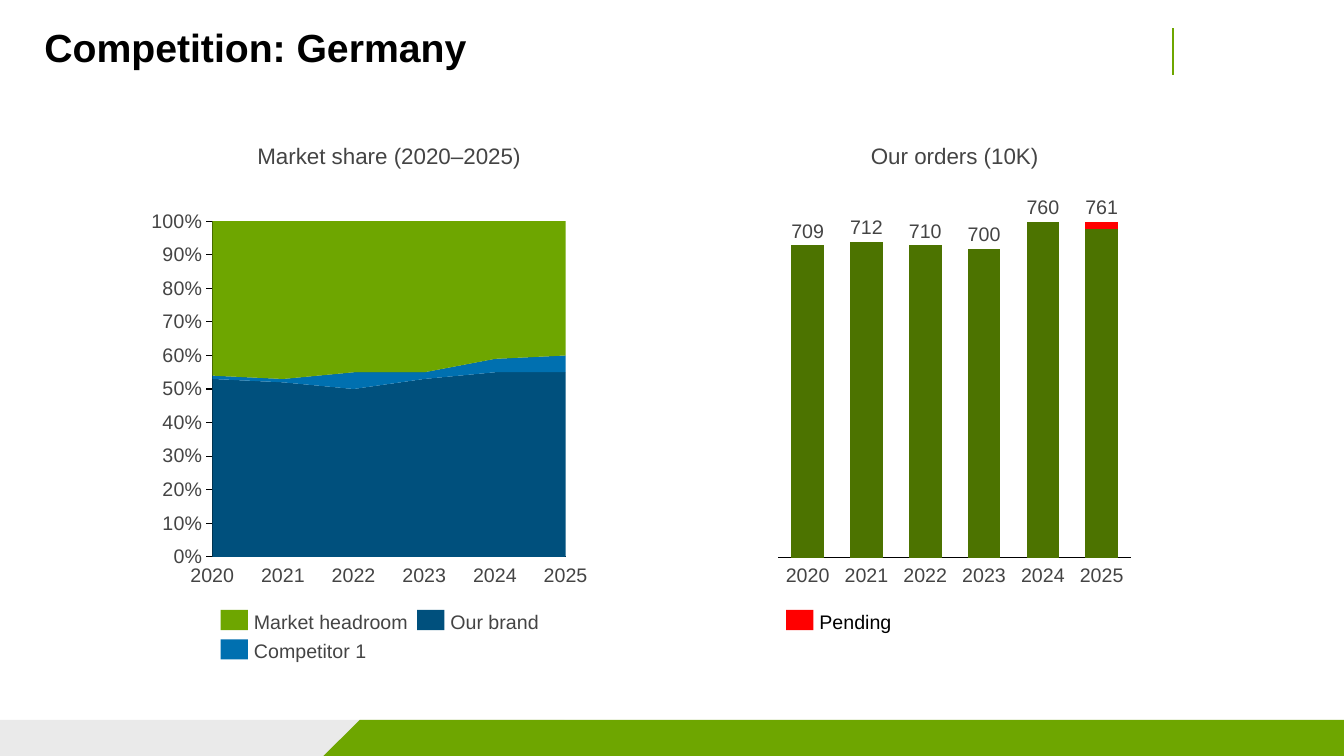
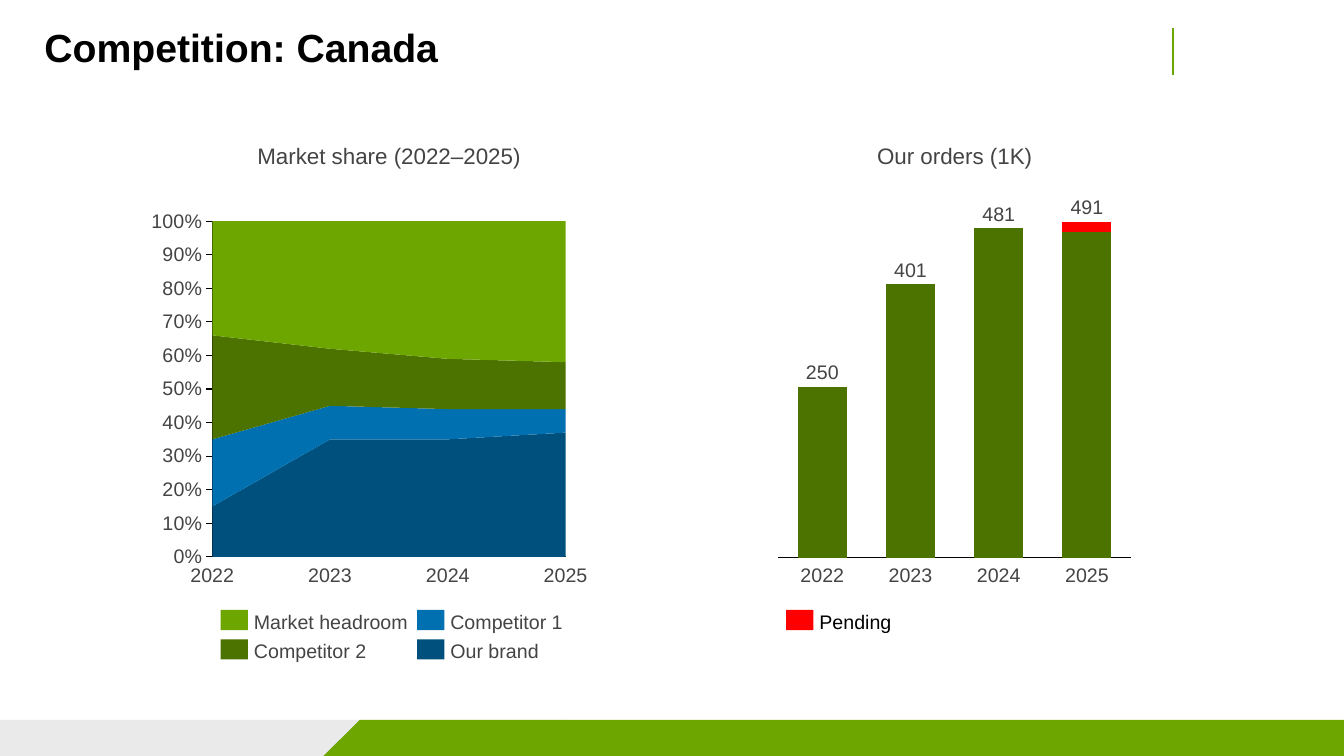
import pptx
import pptx.chart.data
import pptx.dml.color
import pptx.enum.chart
import pptx.enum.shapes
import pptx.enum.text
import pptx.oxml
import pptx.oxml.ns
import pptx.util

Cm = pptx.util.Cm
Pt = pptx.util.Pt
ALIGN = pptx.enum.text.PP_ALIGN
ANCHOR = pptx.enum.text.MSO_ANCHOR
CHART_TYPE = pptx.enum.chart.XL_CHART_TYPE
TICK = pptx.enum.chart.XL_TICK_MARK

# Shared look
COLORS = {
    "black": "000000", "text": "444444", "band": "EAEAEA", "green": "6EA600",
    "dark green": "4C7300", "navy": "00507D", "blue": "0070B0", "red": "FF0000",
}
FONT = "Arial"
SLIDE_WIDTH, SLIDE_HEIGHT = 33.87, 19.05
BAND_TOP = 18.14
YEAR_TOP, YEAR_WIDTH, VALUE_WIDTH, LINE_HEIGHT = 14.2, 1.12, 0.97, 0.58
LEGEND_TOP, LEGEND_ROW, LEGEND_COLUMN = 15.37, 0.74, 4.95
SHARE_COLORS = ["navy", "blue", "dark green", "green"]
ORDER_COLORS = ["dark green", "red"]

# Chart frames in cm, and their plot areas as fractions of the frame
SHARE_FRAME, SHARE_PLOT = (3.25, 5, 11.23, 9.6), (0.187, 0.06, 0.793, 0.881)
ORDER_FRAME, ORDER_PLOT = (19.38, 5.36, 9.35, 8.92), (0.025, 0.026, 0.951, 0.949)

# Legends are lists of columns, each with (name, colour) entries
HEADROOM, BRAND = ("Market headroom", "green"), ("Our brand", "navy")
FIRST_RIVAL, SECOND_RIVAL = ("Competitor 1", "blue"), ("Competitor 2", "dark green")

COUNTRIES = [
    {
        "title": "Competition: Germany",
        "years": range(2020, 2026),
        "share": [[53, 52, 50, 53, 55, 55], [1, 1, 5, 2, 4, 5],
                  [None] * 6, [46, 47, 45, 45, 41, 40]],
        "legend": [[HEADROOM, FIRST_RIVAL], [BRAND]],
        "unit": "10K",
        "orders": [709, 712, 710, 700, 760, 761],
        "bars": [[93, 94, 93, 92, 100, 98], [0, 0, 0, 0, 0, 2]],
        "maximum": 100,
    },
    {
        "title": "Competition: Canada",
        "years": range(2022, 2026),
        "share": [[15, 35, 35, 37], [20, 10, 9, 7], [31, 17, 15, 14], [34, 38, 41, 42]],
        "legend": [[HEADROOM, SECOND_RIVAL], [FIRST_RIVAL, BRAND]],
        "unit": "1K",
        "orders": [250, 401, 481, 491],
        "bars": [[52, 83, 100, 99], [0, 0, 0, 3]],
        "maximum": 102,
    },
]


def rgb(name):
    return pptx.dml.color.RGBColor.from_string(COLORS[name])


def apply_format(target, values):
    for name, value in values.items():
        setattr(target, name, value)


def fill_solid(target, color):
    target.fill.solid()
    target.fill.fore_color.rgb = rgb(color)


def format_font(font, size, color, bold=False):
    apply_format(font, {"name": FONT, "size": Pt(size), "bold": bold})
    font.color.rgb = rgb(color)


def format_frame(frame, anchor):
    apply_format(frame, {
        "margin_left": 0, "margin_top": 0, "margin_right": 0, "margin_bottom": 0,
        "word_wrap": True, "vertical_anchor": anchor,
    })


def plain_shape(shape, color):
    shape.shadow.inherit = False
    fill_solid(shape, color)
    shape.line.fill.background()
    return shape


def add_rectangle(slide, left, top, width, height, color):
    kind = pptx.enum.shapes.MSO_SHAPE.RECTANGLE
    shape = slide.shapes.add_shape(kind, Cm(left), Cm(top), Cm(width), Cm(height))
    return plain_shape(shape, color)


def add_text(slide, text, left, top, width, height=LINE_HEIGHT, size=14,
             color="text", align=ALIGN.CENTER, anchor=ANCHOR.MIDDLE):
    box = slide.shapes.add_textbox(Cm(left), Cm(top), Cm(width), Cm(height))
    format_frame(box.text_frame, anchor)
    paragraph = box.text_frame.paragraphs[0]
    paragraph.alignment = align
    run = paragraph.add_run()
    run.text = text
    format_font(run.font, size, color)


def add_centred_text(slide, text, center, top, width, **options):
    add_text(slide, text, center - width / 2, top, width, **options)


def add_title(slide, text):
    title = slide.shapes.title
    title.text = text
    format_frame(title.text_frame, ANCHOR.TOP)
    title.text_frame.auto_size = pptx.enum.text.MSO_AUTO_SIZE.NONE
    paragraph = title.text_frame.paragraphs[0]
    apply_format(paragraph, {"alignment": ALIGN.LEFT, "line_spacing": 0.9})
    format_font(paragraph.runs[0].font, 28, "black", bold=True)


def add_master_parts(slide, layout):
    """Draw the bands and the rule, then move them to the master."""
    gray_band = add_rectangle(slide, 0, BAND_TOP, 14.22, SLIDE_HEIGHT - BAND_TOP, "band")
    builder = slide.shapes.build_freeform(Cm(9.07), Cm(BAND_TOP))
    corners = [(SLIDE_WIDTH, BAND_TOP), (SLIDE_WIDTH, SLIDE_HEIGHT), (8.15, SLIDE_HEIGHT)]
    builder.add_line_segments([(Cm(x), Cm(y)) for x, y in corners])
    green_band = plain_shape(builder.convert_to_shape(), "green")
    rule = slide.shapes.add_connector(
        pptx.enum.shapes.MSO_CONNECTOR.STRAIGHT, Cm(29.57), Cm(0.71), Cm(29.57), Cm(1.9))
    rule.line.color.rgb = rgb("green")
    rule.line.width = Pt(1.5)
    properties = rule.element.find(pptx.oxml.ns.qn("p:spPr"))
    properties.append(pptx.oxml.parse_xml(
        "<a:effectLst %s/>" % pptx.oxml.ns.nsdecls("a")))
    tree = layout.slide_master.shapes.element
    for index, shape in enumerate((gray_band, green_band, rule)):
        tree.insert(2 + index, shape.element)


def plot_box(frame, plot):
    """Return left, top, width and height of the plot area in cm."""
    left, top, width, height = frame
    return (left + plot[0] * width, top + plot[1] * height,
            plot[2] * width, plot[3] * height)


def set_plot_layout(chart, plot):
    area = chart.plots[0]._element.getparent()
    for layout in area.findall(pptx.oxml.ns.qn("c:layout")):
        area.remove(layout)
    sizes = "".join('<c:%s val="%s"/>' % pair for pair in zip("xywh", plot))
    area.insert(0, pptx.oxml.parse_xml(
        '<c:layout %s><c:manualLayout><c:layoutTarget val="inner"/>'
        '<c:xMode val="edge"/><c:yMode val="edge"/>%s</c:manualLayout></c:layout>'
        % (pptx.oxml.ns.nsdecls("c"), sizes)))


def add_stacked_chart(slide, kind, frame, plot, series_values, colors, maximum):
    data = pptx.chart.data.CategoryChartData()
    data.categories = [str(i + 1) for i in range(len(series_values[0]))]
    for number, values in enumerate(series_values, 1):
        data.add_series("Series %d" % number, values)
    box = [Cm(length) for length in frame]
    chart = slide.shapes.add_chart(kind, *box, data).chart
    apply_format(chart, {"has_legend": False, "has_title": False})
    format_font(chart.font, 10, "black")
    set_plot_layout(chart, plot)
    chart.plots[0].vary_by_categories = False
    for series, color in zip(chart.plots[0].series, colors):
        fill_solid(series.format, color)
    category_axis, value_axis = chart.category_axis, chart.value_axis
    apply_format(category_axis, {
        "tick_label_position": pptx.enum.chart.XL_TICK_LABEL_POSITION.NONE,
        "major_tick_mark": TICK.NONE, "minor_tick_mark": TICK.NONE,
        "has_major_gridlines": False,
    })
    apply_format(value_axis, {
        "minimum_scale": 0, "maximum_scale": maximum, "has_major_gridlines": False,
    })
    for axis in (category_axis, value_axis):
        axis.format.line.color.rgb = rgb("black")
        axis.format.line.width = Pt(0.75)
    return chart


def add_legend(slide, left, columns, color="text"):
    for column, entries in enumerate(columns):
        for row, (name, swatch) in enumerate(entries):
            x = left + column * LEGEND_COLUMN
            y = LEGEND_TOP + row * LEGEND_ROW
            add_rectangle(slide, x, y, 0.69, 0.51, swatch)
            add_text(slide, name, x + 0.84, y, 4, color=color, align=ALIGN.LEFT)


def add_heading(slide, text, left, width):
    add_text(slide, text, left, 3.58, width, height=0.69, size=16)


def add_share_part(slide, country):
    chart = add_stacked_chart(slide, CHART_TYPE.AREA_STACKED, SHARE_FRAME, SHARE_PLOT,
                              country["share"], SHARE_COLORS, 100)
    axis = chart.value_axis
    apply_format(axis, {"major_unit": 10, "major_tick_mark": TICK.OUTSIDE,
                        "minor_tick_mark": TICK.NONE})
    apply_format(axis.tick_labels, {"number_format": '#,##0"%";"-"#,##0"%"',
                                    "number_format_is_linked": False})
    format_font(axis.tick_labels.font, 14, "text")
    # The areas start on the value axis
    for crossing in axis._element.findall(pptx.oxml.ns.qn("c:crossBetween")):
        crossing.set("val", "midCat")

    left, _, width, _ = plot_box(SHARE_FRAME, SHARE_PLOT)
    years = country["years"]
    for index, year in enumerate(years):
        center = left + index * width / (len(years) - 1)
        add_centred_text(slide, str(year), center, YEAR_TOP, YEAR_WIDTH)
    add_legend(slide, 5.56, country["legend"])
    add_heading(slide, f"Market share ({years[0]}–{years[-1]})", left, width)


def add_orders_part(slide, country):
    chart = add_stacked_chart(slide, CHART_TYPE.COLUMN_STACKED, ORDER_FRAME, ORDER_PLOT,
                              country["bars"], ORDER_COLORS, country["maximum"])
    chart.value_axis.visible = False
    apply_format(chart.plots[0], {"gap_width": 80, "overlap": 100})

    left, top, width, height = plot_box(ORDER_FRAME, ORDER_PLOT)
    step = width / len(country["years"])
    totals = [sum(parts) for parts in zip(*country["bars"])]
    for index, year in enumerate(country["years"]):
        center = left + (index + 0.5) * step
        bar_top = top + height * (1 - totals[index] / country["maximum"])
        add_centred_text(slide, str(year), center, YEAR_TOP, YEAR_WIDTH)
        add_centred_text(slide, str(country["orders"][index]), center,
                         bar_top - LINE_HEIGHT - 0.08, VALUE_WIDTH, anchor=ANCHOR.BOTTOM)
    add_legend(slide, 19.81, [[("Pending", "red")]], color="black")
    add_heading(slide, f"Our orders ({country['unit']})", left, width)


def main():
    presentation = pptx.Presentation()
    apply_format(presentation, {"slide_width": Cm(SLIDE_WIDTH),
                                "slide_height": Cm(SLIDE_HEIGHT)})
    layout = presentation.slide_layouts.get_by_name("Title Only")
    apply_format(layout.placeholders[0], {
        "left": Cm(1.12), "top": Cm(0.71), "width": Cm(28.02), "height": Cm(1.07)})
    for number, country in enumerate(COUNTRIES):
        slide = presentation.slides.add_slide(layout)
        if number == 0:
            add_master_parts(slide, layout)
        add_title(slide, country["title"])
        add_share_part(slide, country)
        add_orders_part(slide, country)
    presentation.save("out.pptx")


if __name__ == "__main__":
    main()
